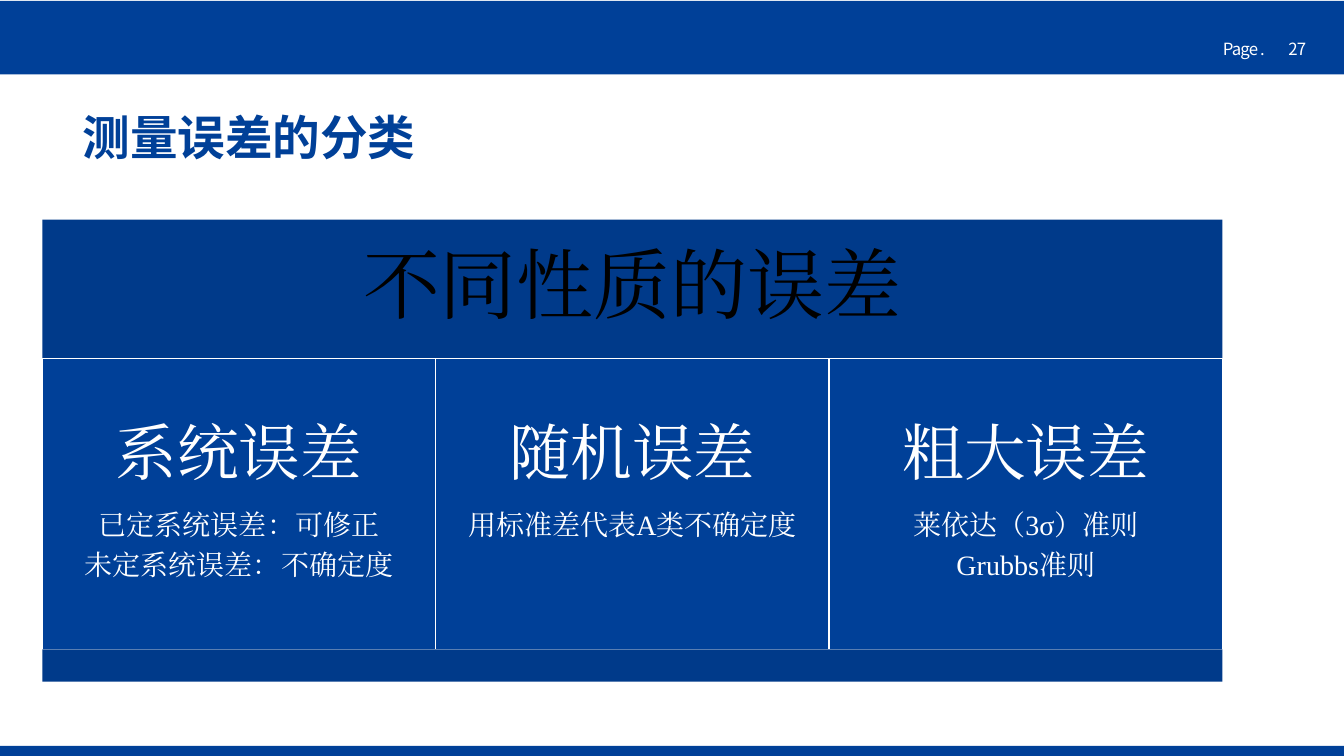
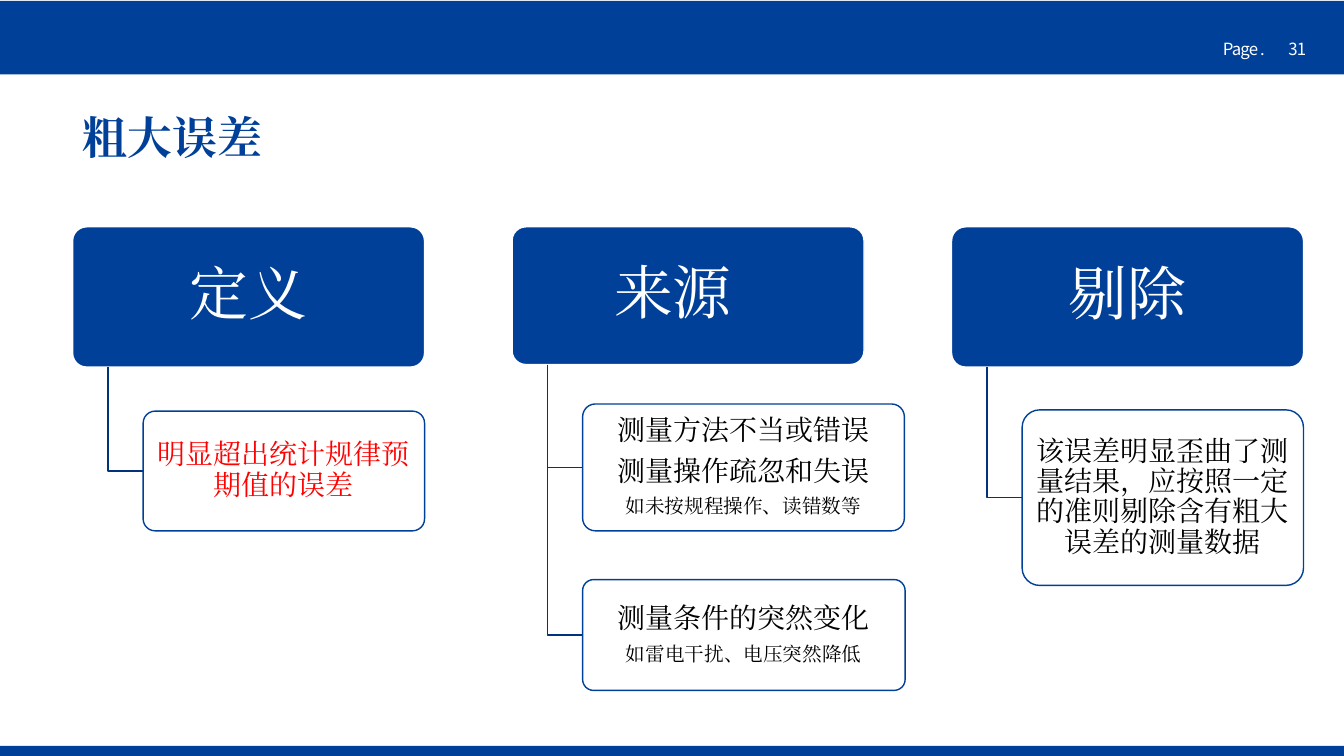
from lxml.etree import SubElement
from pptx import Presentation
from pptx.dml.color import RGBColor
from pptx.enum.shapes import MSO_SHAPE
from pptx.enum.text import MSO_ANCHOR, MSO_AUTO_SIZE, PP_ALIGN
from pptx.oxml.ns import qn
from pptx.util import Inches, Pt

# Slide grid
COLS, ROWS = 160, 90
WIDTH, HEIGHT = Inches(13.333), Inches(7.5)

# Colours
BLUE = RGBColor(0x00, 0x40, 0x98)
DEEP_BLUE = RGBColor(0x00, 0x3A, 0x8A)
STEM_BLUE = RGBColor(0x00, 0x33, 0x7A)
WHITE = RGBColor(0xFF, 0xFF, 0xFF)
BLACK = RGBColor(0x00, 0x00, 0x00)
RED = RGBColor(0xFF, 0x00, 0x00)

# Fonts
SANS, SERIF = "Noto Sans CJK SC", "Times New Roman"
LINE_SPACING = 0.9
AFTER_SHARE = 0.35

# Text insets in inches: left, top, right, bottom
PLAIN = (0.1, 0.05, 0.1, 0.05)


class Deck:
    """Holds the shared style and the slide being filled."""

    def __init__(self):
        self.prs = Presentation()
        self.prs.slide_width, self.prs.slide_height = WIDTH, HEIGHT
        self.slide = None

    def place(self, left, top, width, height):
        return (self.x(left), self.y(top), self.x(width), self.y(height))

    def x(self, cols):
        return round(WIDTH * cols / COLS)

    def y(self, rows):
        return round(HEIGHT * rows / ROWS)

    def new_slide(self, title, page, size, face):
        """Start a slide with its bands, page number and title."""
        self.slide = self.prs.slides.add_slide(self.prs.slide_layouts[5])
        self.box((0, 88.8, COLS, 1.2), BLUE)
        self.box((0, 0.12, COLS, 8.76), BLUE)
        self.label((152.2, 4.08, 4.8, 3.6), str(page))
        self.label((144.4, 4.08, 7.5, 3.6), "Page .")
        heading = self.slide.shapes.title
        spots = self.place(8.64, 12.84, 146.5, 7.56)
        for name, value in zip(("left", "top", "width", "height"), spots):
            setattr(heading, name, value)
        self.set_text(heading, [(title, size)], BLUE, face=face, bold=True,
                      align=PP_ALIGN.LEFT)

    def label(self, area, text):
        """Small light text on the top band."""
        holder = self.slide.shapes.add_textbox(*self.place(*area))
        self.set_text(holder, [(text, 12)], WHITE, face=SANS, wrap=False,
                      align=PP_ALIGN.LEFT, anchor=MSO_ANCHOR.TOP, spacing=1)
        for run in holder.text_frame.paragraphs[0].runs:
            run.font._element.set("spc", "-60")

    def box(self, area, fill, line=None, rounded=False, alpha=None):
        kind = MSO_SHAPE.ROUNDED_RECTANGLE if rounded else MSO_SHAPE.RECTANGLE
        shape = self.slide.shapes.add_shape(kind, *self.place(*area))
        shape.shadow.inherit = False
        if rounded:
            shape.adjustments[0] = 0.1
        shape.fill.solid()
        shape.fill.fore_color.rgb = fill
        if alpha:
            colour = shape.fill._xPr.find(".//" + qn("a:srgbClr"))
            SubElement(colour, qn("a:alpha")).set("val", str(alpha * 1000))
        self.outline(shape, line)
        return shape

    def outline(self, shape, colour):
        if colour is None:
            shape.line.fill.background()
        else:
            shape.line.color.rgb = colour
            shape.line.width = Pt(1)

    def stem(self, left, top, right, bottom):
        """Line that runs down from a topic and right to its detail."""
        outline = self.slide.shapes.build_freeform(self.x(left), self.y(top))
        outline.add_line_segments([(self.x(left), self.y(bottom)),
                                   (self.x(right), self.y(bottom))],
                                  close=False)
        shape = outline.convert_to_shape()
        shape.shadow.inherit = False
        shape.fill.background()
        self.outline(shape, STEM_BLUE)

    def set_text(self, shape, lines, colour, insets=PLAIN, face=SERIF,
                 bold=False, wrap=True, align=PP_ALIGN.CENTER,
                 anchor=MSO_ANCHOR.MIDDLE, spacing=LINE_SPACING):
        """Fill a shape with (text, size) lines."""
        frame = shape.text_frame
        left, top, right, bottom = map(Inches, insets)
        frame_format = {"word_wrap": wrap, "auto_size": MSO_AUTO_SIZE.NONE,
                        "vertical_anchor": anchor,
                        "margin_left": left, "margin_top": top,
                        "margin_right": right, "margin_bottom": bottom}
        for name, value in frame_format.items():
            setattr(frame, name, value)
        for index, (text, size) in enumerate(lines):
            para = frame.add_paragraph() if index else frame.paragraphs[0]
            para.alignment, para.line_spacing = align, spacing
            if index < len(lines) - 1:
                para.space_after = Pt(round(size * AFTER_SHARE, 1))
            run = para.add_run()
            run.text = text
            font_format = {"size": Pt(size), "bold": bold, "name": face}
            for name, value in font_format.items():
                setattr(run.font, name, value)
            run.font.color.rgb = colour
            SubElement(run.font._element, qn("a:ea")).set("typeface", face)


def error_classes(deck):
    deck.new_slide("测量误差的分类", 27, 34, SANS)
    left, width = 5.04, 140.5
    head_top, column_top, base_top, base_height = 26.15, 42.65, 77.3, 3.85

    # Header bar
    header = deck.box((left, head_top, width, column_top - head_top), DEEP_BLUE)
    deck.set_text(header, [("不同性质的误差", 55)], BLACK, (0.23,) * 4)

    # One column for each class of error
    classes = [
        ("系统误差", "已定系统误差：可修正", "未定系统误差：不确定度"),
        ("随机误差", "用标准差代表A类不确定度"),
        ("粗大误差", "莱依达（3σ）准则", "Grubbs准则"),
    ]
    column_width = width / len(classes)
    for index, (name, *details) in enumerate(classes):
        column = deck.box((left + index * column_width, column_top,
                           column_width, base_top - column_top), BLUE, WHITE)
        deck.set_text(column, [(name, 44)] + [(text, 20) for text in details],
                      WHITE, (0.18, 0.64, 0.18, 0.18), anchor=MSO_ANCHOR.TOP)

    # Base bar
    deck.box((left, base_top, width, base_height), DEEP_BLUE)


def gross_error(deck):
    deck.new_slide("粗大误差", 31, 32, SERIF)
    left, pitch, top, topic_width = 8.64, 52.32, 27, 41.9
    stem_indent, detail_indent = 4.2, 8.4

    # Topic, its height and right inset, then details: top, width, height,
    # colour, lines
    topics = [
        ("定义", 16.7, 0.09, [
            (48.95, 33.5, 14.25, RED, [("明显超出统计规律预期值的误差", 20)])]),
        ("来源", 16.4, 0.39, [
            (48.1, 38.3, 15.1, BLACK, [("测量方法不当或错误", 20),
                                       ("测量操作疏忽和失误", 20),
                                       ("如未按规程操作、读错数等", 14)]),
            (69, 38.4, 13.2, BLACK, [("测量条件的突然变化", 20),
                                     ("如雷电干扰、电压突然降低", 14)])]),
        ("剔除", 16.7, 0.09, [
            (48.8, 33.5, 20.9, BLACK,
             [("该误差明显歪曲了测量结果，应按照一定的准则剔除含有粗大误差的测量数据",
               20)])]),
    ]
    for index, (name, height, right_inset, details) in enumerate(topics):
        x = left + index * pitch
        topic = deck.box((x, top, topic_width, height), BLUE, WHITE, True)
        deck.set_text(topic, [(name, 42)], WHITE,
                      (0.09, 0.06, right_inset, 0.06))
        for detail_top, width, depth, colour, lines in details:
            deck.stem(x + stem_indent, top + height,
                      x + detail_indent, detail_top + depth / 2)
            detail = deck.box((x + detail_indent, detail_top, width, depth),
                              WHITE, BLUE, True, alpha=90)
            deck.set_text(detail, lines, colour, (0.04, 0.03, 0.04, 0.03))


def main():
    deck = Deck()
    error_classes(deck)
    gross_error(deck)
    deck.prs.save("out.pptx")


if __name__ == "__main__":
    main()
